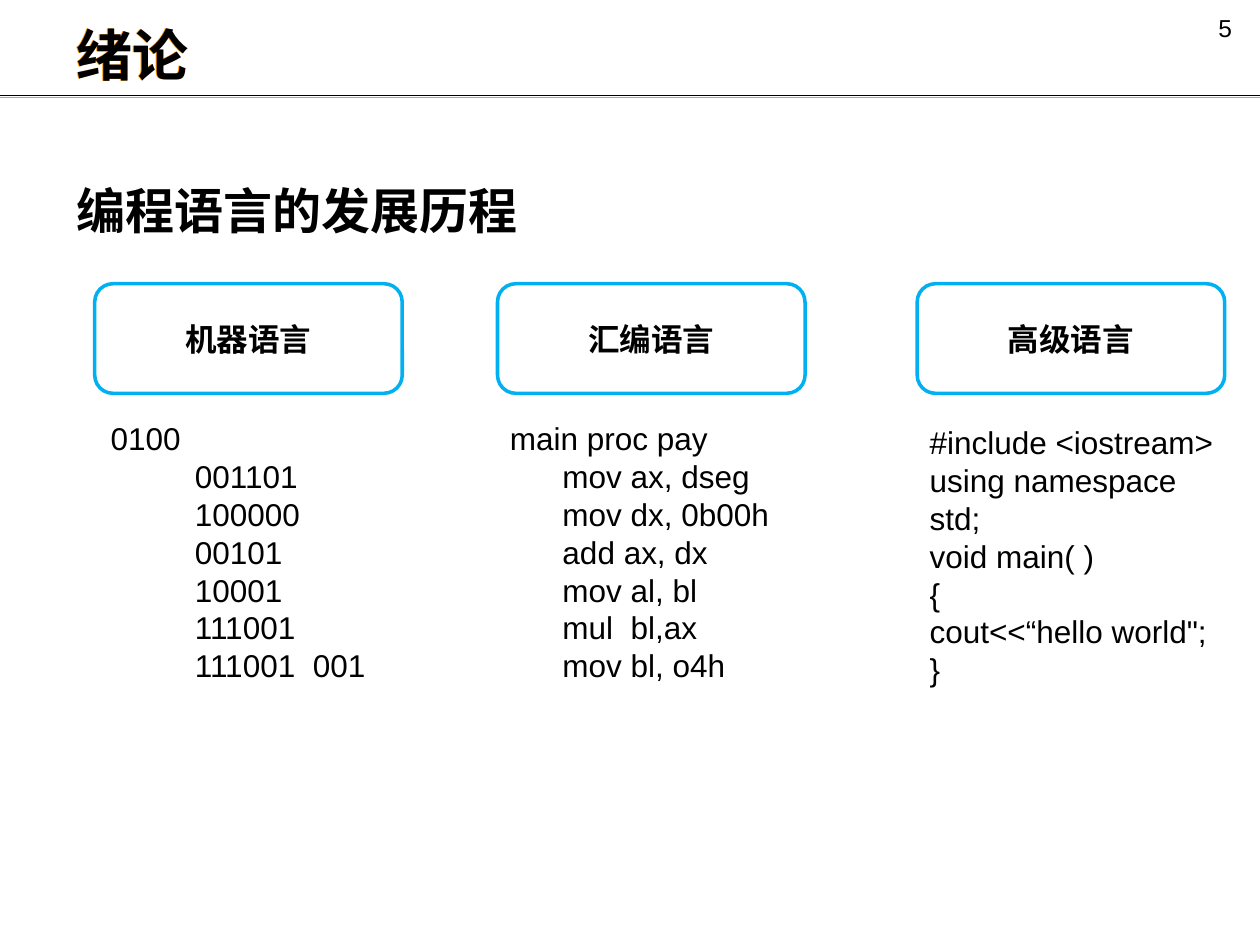
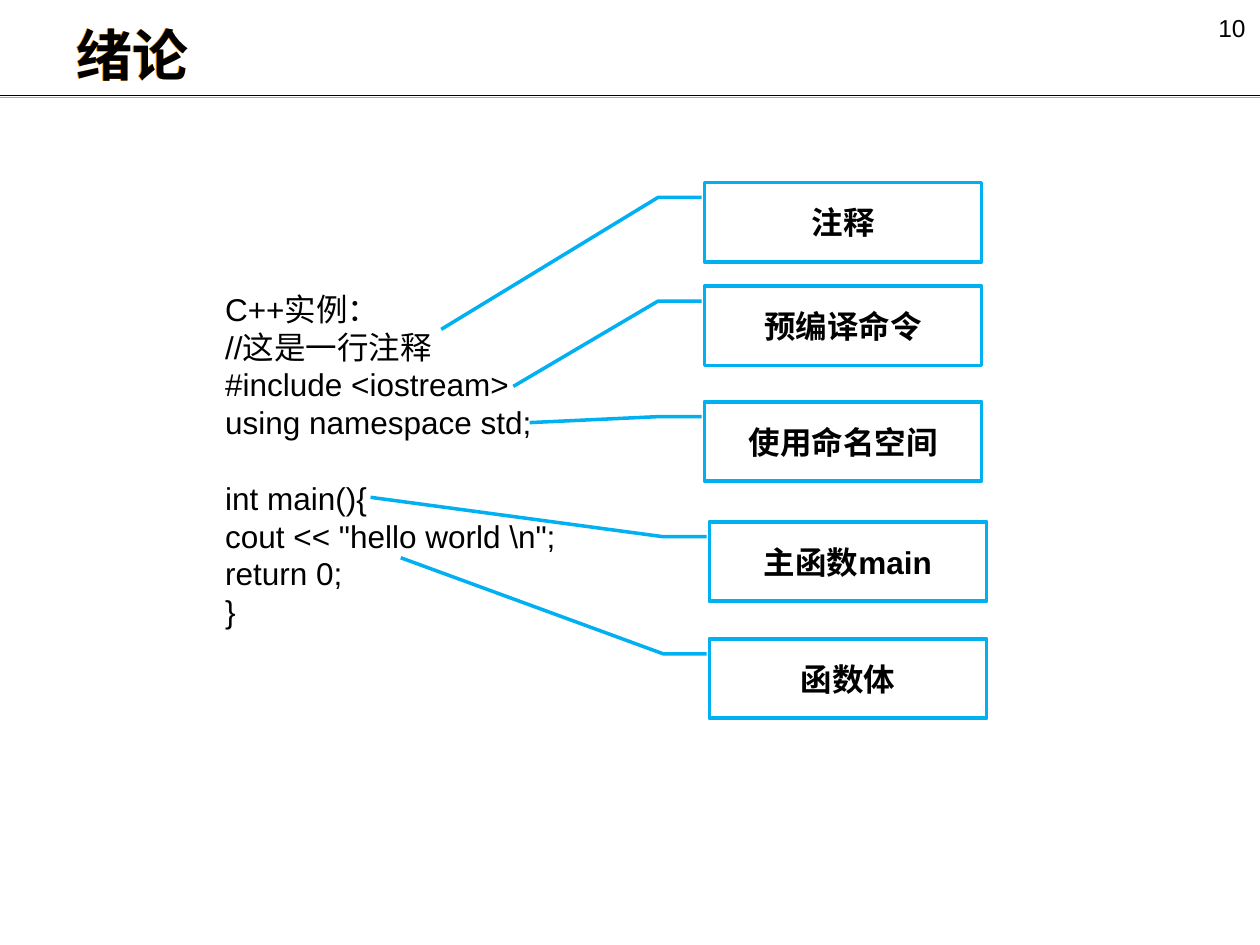
from dataclasses import dataclass

from lxml import etree
from pptx import Presentation
from pptx import util as u
from pptx.dml.color import RGBColor
from pptx.enum import shapes, text
from pptx.oxml.ns import qn

COLORS = {"ink": "000000", "paper": "FFFFFF", "accent": "00B0F0", "gold": "FF9900"}
FONT = "Arial"
BODY_SIZE = 18
BLANK_LAYOUT = 6
SLIDE_WIDTH, SLIDE_HEIGHT = 25.4, 19.05


# Lengths in these records are centimetres
@dataclass
class Box:
    left: float
    top: float
    width: float
    height: float

    def lengths(self):
        return [u.Cm(value) for value in (self.left, self.top, self.width, self.height)]


@dataclass
class Line:
    words: str
    indent: float = 0
    space_before: float = 0


@dataclass
class Language:
    name: str
    left: float
    code_box: Box
    code: list[Line]


@dataclass
class Callout:
    label: str
    left: float
    top: float
    target_y: float  # pointer end, as a share of the box height
    target_x: float  # pointer end, as a share of the box width


def color(name: str) -> RGBColor:
    return RGBColor.from_string(COLORS[name])


def add_run(paragraph, words: str, size: float, bold: bool = False) -> None:
    run = paragraph.add_run()
    run.text = words
    run.font.name = FONT
    run.font.size = u.Pt(size)
    run.font.bold = bold
    run.font.color.rgb = color("ink")


def add_text(slide, box: Box, lines: list[Line], size: float = BODY_SIZE,
             bold: bool = False, wrap: bool = True, spacing: float = 1.0):
    shape = slide.shapes.add_textbox(*box.lengths())
    frame = shape.text_frame
    frame.word_wrap = wrap
    for index, line in enumerate(lines):
        paragraph = frame.paragraphs[0] if index == 0 else frame.add_paragraph()
        paragraph.line_spacing = spacing
        if line.space_before:
            paragraph.space_before = u.Pt(line.space_before)
        if line.indent:
            paragraph._p.get_or_add_pPr().set("marL", str(u.Cm(line.indent)))
        add_run(paragraph, line.words, size, bold)
    return shape


def add_label(slide, kind, box: Box, words: str, filled: bool):
    """Outlined shape with a bold centred label."""
    shape = slide.shapes.add_shape(kind, *box.lengths())
    shape.shadow.inherit = False
    if filled:
        shape.fill.solid()
        shape.fill.fore_color.rgb = color("paper")
    else:
        shape.fill.background()
    shape.line.color.rgb = color("accent")
    shape.line.width = u.Pt(2)
    frame = shape.text_frame
    frame.word_wrap = True
    frame.vertical_anchor = text.MSO_ANCHOR.MIDDLE
    paragraph = frame.paragraphs[0]
    paragraph.alignment = text.PP_ALIGN.CENTER
    add_run(paragraph, words, BODY_SIZE, bold=True)
    return shape


def add_rule(slide, top: float, color_name: str) -> None:
    rule = slide.shapes.add_connector(
        shapes.MSO_CONNECTOR.STRAIGHT, u.Cm(0), u.Cm(top), u.Cm(SLIDE_WIDTH), u.Cm(top))
    rule.line.color.rgb = color(color_name)
    rule.line.width = u.Pt(0.75)
    etree.SubElement(rule._element.spPr, qn("a:effectLst"))


def add_gold_shadow(shape) -> None:
    effects = etree.SubElement(shape._element.spPr, qn("a:effectLst"))
    shadow = etree.SubElement(effects, qn("a:outerShdw"),
                              dist=str(u.Pt(1)), dir="10800000", algn="ctr")
    etree.SubElement(shadow, qn("a:srgbClr"), val=COLORS["gold"])


def start_slide(presentation, number: int):
    """Blank slide with page number, double rule and chapter title."""
    slide = presentation.slides.add_slide(presentation.slide_layouts[BLANK_LAYOUT])
    slide.background.fill.solid()
    slide.background.fill.fore_color.rgb = color("paper")
    add_text(slide, Box(24.31, 0.13, 1.12, 0.84), [Line(str(number))], size=14)
    add_rule(slide, 1.93, "ink")
    add_rule(slide, 1.96, "gold")
    title = add_text(slide, Box(1.3, 0.28, 2.79, 1.63), [Line("绪论")],
                     size=32, bold=True, wrap=False)
    add_gold_shadow(title)
    return slide


def indented(first: str, rest: list[str], indent: float) -> list[Line]:
    return [Line(first)] + [Line(words, indent) for words in rest]


LANGUAGES = [
    Language("机器语言", 1.91, Box(1.98, 8.33, 6.12, 5.64), indented(
        "0100",
        ["001101", "100000", "00101", "10001", "111001", "111001  001"], 1.7)),
    Language("汇编语言", 10.03, Box(10.03, 8.33, 6.45, 5.64), indented(
        "main proc pay",
        ["mov ax, dseg", "mov dx, 0b00h", "add ax, dx",
         "mov al, bl", "mul  bl,ax", "mov bl, o4h"], 1.06)),
    Language("高级语言", 18.49, Box(18.49, 8.41, 6.6, 4.88), [
        Line("#include <iostream>"), Line("using namespace std;"),
        Line("void main( )"), Line("{"),
        Line("cout<<“hello world\";"), Line("}")]),
]

PROGRAM = [
    Line("C++实例："),
    Line("//这是一行注释"),
    Line("#include <iostream>"),
    Line("using namespace std;"),
    Line("int main(){", space_before=21.5),
    Line("cout << \"hello world \\n\";"),
    Line("return 0;"),
    Line("}"),
]

CALLOUTS = [
    Callout("预编译命令", 14.2, 5.77, 1.263, -0.689),
    Callout("使用命名空间", 14.2, 8.1, 0.263, -0.63),
    Callout("主函数main", 14.3, 10.52, -0.309, -1.222),
    Callout("函数体", 14.3, 12.88, -1.023, -1.113),
    Callout("注释", 14.2, 3.68, 1.85, -0.949),
]
# Pointer start and bend (y, x, y, x), common to all callouts
POINTER_START = (0.188, -0.01, 0.188, -0.167)


def build_history(presentation) -> None:
    slide = start_slide(presentation, 5)
    add_text(slide, Box(1.3, 2.92, 23.01, 3.2), [Line("编程语言的发展历程")],
             size=28, bold=True, spacing=1.5)
    for language in LANGUAGES:
        add_label(slide, shapes.MSO_SHAPE.FLOWCHART_ALTERNATE_PROCESS,
                  Box(language.left, 5.72, 6.2, 2.21), language.name, filled=True)
        add_text(slide, language.code_box, language.code)


def build_example(presentation) -> None:
    slide = start_slide(presentation, 10)
    add_text(slide, Box(4.29, 5.72, 9.4, 7.19), PROGRAM)
    for callout in CALLOUTS:
        shape = add_label(slide, shapes.MSO_SHAPE.LINE_CALLOUT_2,
                          Box(callout.left, callout.top, 5.59, 1.6),
                          callout.label, filled=False)
        pointer = (*POINTER_START, callout.target_y, callout.target_x)
        for index, value in enumerate(pointer):
            shape.adjustments[index] = value


presentation = Presentation()
presentation.slide_width = u.Cm(SLIDE_WIDTH)
presentation.slide_height = u.Cm(SLIDE_HEIGHT)
build_history(presentation)
build_example(presentation)
presentation.save("out.pptx")
